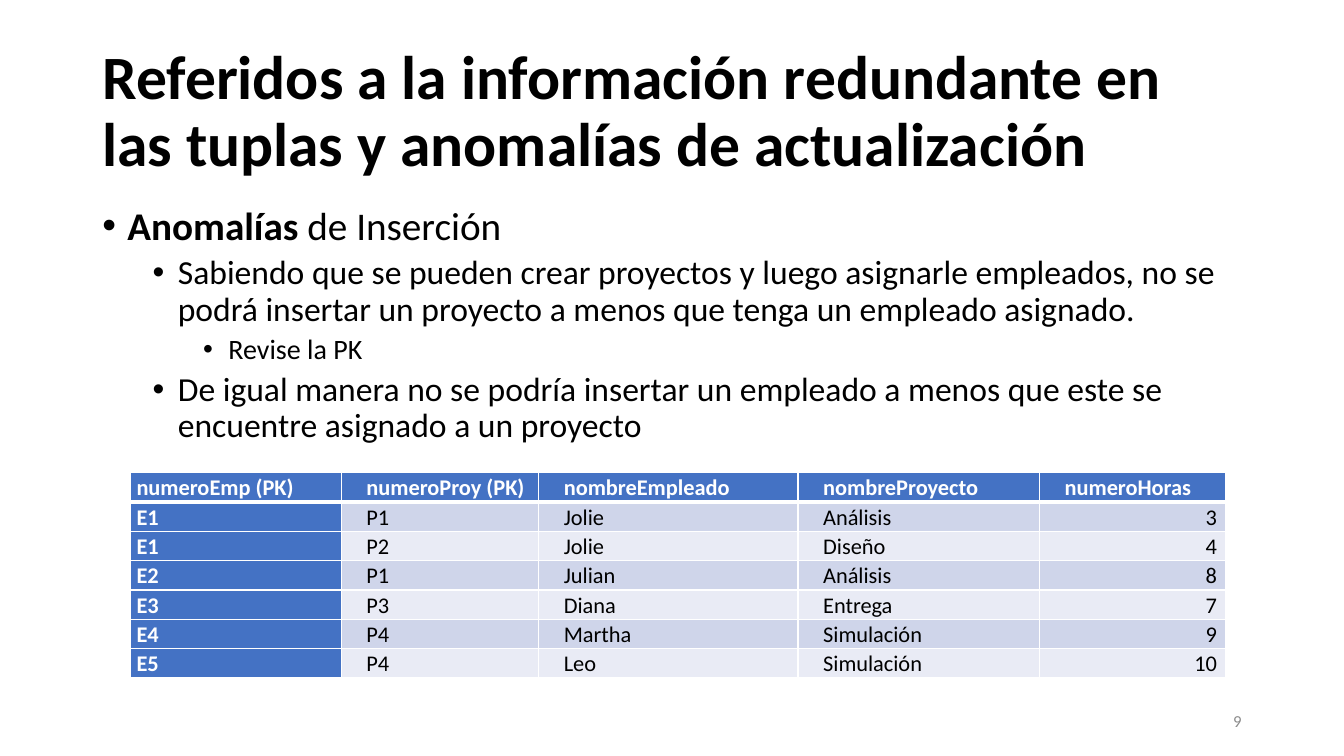
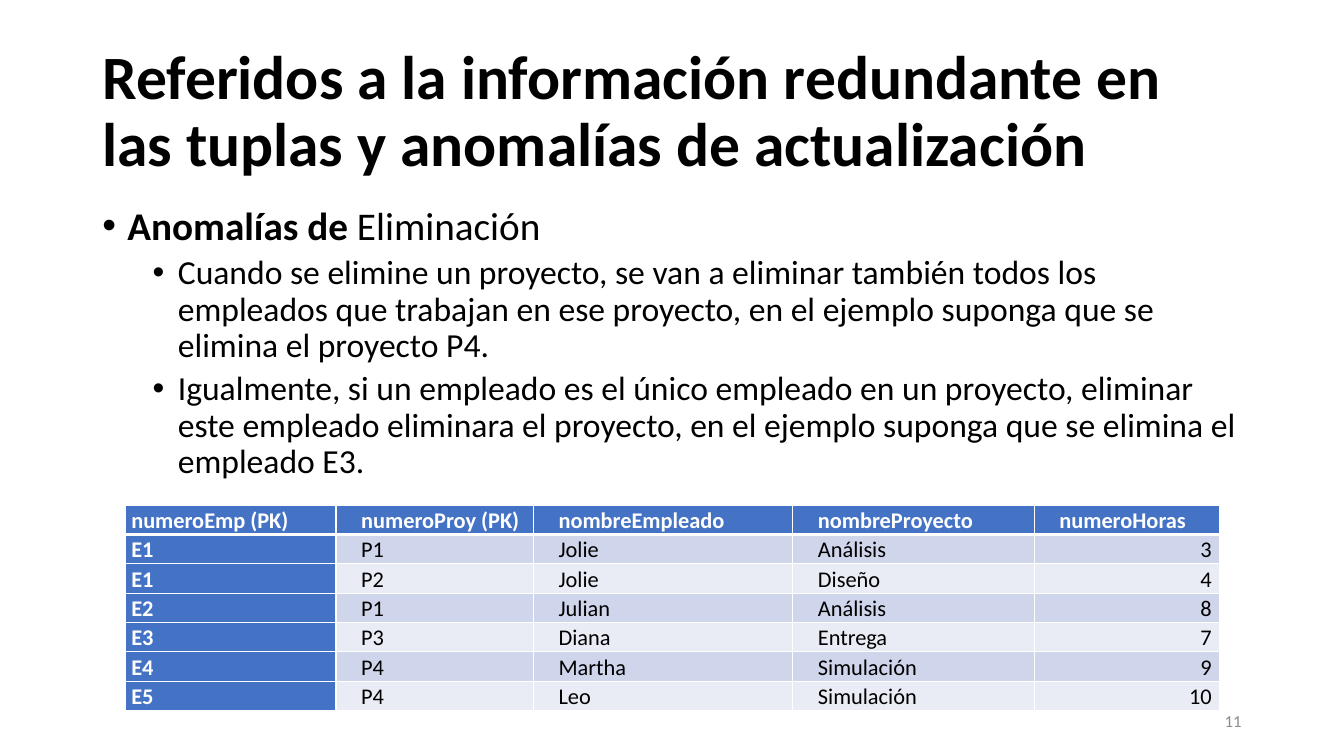
import pptx
import pptx.util
import pptx.dml.color
import pptx.enum.text
import pptx.oxml.ns
import lxml.etree
from dataclasses import dataclass

PX = 9525
ALIGN = pptx.enum.text.PP_ALIGN
ANCHOR = pptx.enum.text.MSO_ANCHOR


@dataclass(frozen=True)
class Theme:
    font: str = "Calibri"
    bullet_font: str = "Arial"
    black: str = "000000"
    white: str = "FFFFFF"
    blue: str = "4472C4"
    bands: tuple = ("CFD5EA", "E9EBF5")
    gray: str = "8C8C8C"
    title_size: int = 44
    body_sizes: tuple = (28, 24, 20)
    table_size: int = 16
    number_size: int = 12
    thin: int = 1
    thick: int = 3


THEME = Theme()
SLIDE_SIZE = (1280, 720)
TITLE_BOX = (88, 38, 1104, 139)
BODY_BOX = (88, 192, 1104, 457)
NUMBER_BOX = (904, 667, 288, 38)
BULLET_STEP, BULLET_HANG = 48, 24
COLUMN_WIDTHS = (201, 188, 247, 230, 177)
ROW_HEIGHT = 28
FIRST_INDENT, OTHER_INDENT = 7, 25
CELL_RIGHT, HOURS_RIGHT = 3, 8

TITLE = "Referidos a la información redundante en las tuplas y anomalías de actualización"
HEADERS = ("numeroEmp (PK)", "numeroProy (PK)", "nombreEmpleado", "nombreProyecto", "numeroHoras")
ASSIGNMENTS = [
    ("E1", "P1", "Jolie", "Análisis", 3),
    ("E1", "P2", "Jolie", "Diseño", 4),
    ("E2", "P1", "Julian", "Análisis", 8),
    ("E3", "P3", "Diana", "Entrega", 7),
    ("E4", "P4", "Martha", "Simulación", 9),
    ("E5", "P4", "Leo", "Simulación", 10),
]
SLIDES = [
    {
        "number": 9,
        "table_at": (124, 450),
        "points": [
            (0, [("Anomalías ", True), ("de Inserción", False)]),
            (1, [("Sabiendo que se pueden crear proyectos y luego asignarle empleados, no se "
                  "podrá insertar un proyecto a menos que tenga un empleado asignado.", False)]),
            (2, [("Revise la PK", False)]),
            (1, [("De igual manera no se podría insertar un empleado a menos que este se "
                  "encuentre asignado a un proyecto", False)]),
        ],
    },
    {
        "number": 11,
        "table_at": (119, 481),
        "points": [
            (0, [("Anomalías de ", True), ("Eliminación", False)]),
            (1, [("Cuando se elimine un proyecto, se van a eliminar también todos los "
                  "empleados que trabajan en ese proyecto, en el ejemplo suponga que se "
                  "elimina el proyecto P4.", False)]),
            (1, [("Igualmente, si un empleado es el único empleado en un proyecto, eliminar "
                  "este empleado eliminara el proyecto, en el ejemplo suponga que se elimina el "
                  "empleado E3.", False)]),
        ],
    },
]


def px(*lengths):
    return [pptx.util.Emu(length * PX) for length in lengths]


def rgb(color):
    return pptx.dml.color.RGBColor.from_string(color)


def child(parent, tag, **attributes):
    return lxml.etree.SubElement(parent, pptx.oxml.ns.qn(tag), attributes)


def style_run(run, size, color, bold=False):
    run.font.name = THEME.font
    run.font.size = pptx.util.Pt(size)
    run.font.bold = bold
    run.font.color.rgb = rgb(color)


def set_indent(paragraph, left, hang):
    properties = paragraph._p.get_or_add_pPr()
    properties.set("marL", str(left * PX))
    properties.set("indent", str(-hang * PX))
    return properties


def add_box(slide, box, anchor):
    frame = slide.shapes.add_textbox(*px(*box)).text_frame
    frame.word_wrap = True
    frame.vertical_anchor = anchor
    return frame


def add_line(slide, box, text, size, color, bold=False, align=ALIGN.LEFT, spacing=1.0):
    frame = add_box(slide, box, ANCHOR.MIDDLE)
    frame.text = text
    paragraph = frame.paragraphs[0]
    paragraph.alignment = align
    paragraph.line_spacing = spacing
    style_run(paragraph.runs[0], size, color, bold)


def add_points(slide, points):
    frame = add_box(slide, BODY_BOX, ANCHOR.TOP)
    for index, (level, pieces) in enumerate(points):
        paragraph = frame.add_paragraph() if index else frame.paragraphs[0]
        paragraph.level = level
        paragraph.line_spacing = 0.9
        paragraph.space_before = pptx.util.Pt(5 if index else 0)
        properties = set_indent(paragraph, BULLET_HANG + level * BULLET_STEP, BULLET_HANG)
        child(properties, "a:buFont", typeface=THEME.bullet_font)
        child(properties, "a:buChar", char="•")
        for text, bold in pieces:
            run = paragraph.add_run()
            run.text = text
            style_run(run, THEME.body_sizes[level], THEME.black, bold)


def set_borders(cell, row):
    properties = cell._tc.get_or_add_tcPr()
    widths = {
        "a:lnL": THEME.thin,
        "a:lnR": THEME.thin,
        "a:lnT": THEME.thick if row == 1 else THEME.thin,
        "a:lnB": THEME.thick if row == 0 else THEME.thin,
    }
    for position, (tag, width) in enumerate(widths.items()):
        border = child(properties, tag, w=str(pptx.util.Pt(width)))
        child(child(border, "a:solidFill"), "a:srgbClr", val=THEME.white)
        properties.insert(position, border)


def fill_cell(cell, row, column, value):
    strong = row == 0 or column == 0
    is_hours = row > 0 and column == len(HEADERS) - 1
    cell.fill.solid()
    cell.fill.fore_color.rgb = rgb(THEME.blue if strong else THEME.bands[(row - 1) % 2])
    cell.margin_left = cell.margin_top = cell.margin_bottom = 0
    cell.margin_right = px(HOURS_RIGHT if is_hours else CELL_RIGHT)[0]
    cell.text_frame.text = str(value)
    paragraph = cell.text_frame.paragraphs[0]
    paragraph.alignment = ALIGN.RIGHT if is_hours else ALIGN.LEFT
    paragraph.line_spacing = 1.07
    set_indent(paragraph, OTHER_INDENT if column else FIRST_INDENT, 1)
    style_run(paragraph.runs[0], THEME.table_size, THEME.white if strong else THEME.black, strong)
    set_borders(cell, row)


def add_assignments(slide, corner):
    records = [HEADERS] + ASSIGNMENTS
    size = (sum(COLUMN_WIDTHS), ROW_HEIGHT * len(records))
    table = slide.shapes.add_table(len(records), len(HEADERS), *px(*corner, *size)).table
    table.first_col = True
    for column, width in zip(table.columns, px(*COLUMN_WIDTHS)):
        column.width = width
    for row, record in enumerate(records):
        for column, value in enumerate(record):
            fill_cell(table.cell(row, column), row, column, value)


def main():
    deck = pptx.Presentation()
    deck.slide_width, deck.slide_height = px(*SLIDE_SIZE)
    for content in SLIDES:
        slide = deck.slides.add_slide(deck.slide_layouts[6])
        add_line(slide, TITLE_BOX, TITLE, THEME.title_size, THEME.black, bold=True, spacing=0.9)
        add_points(slide, content["points"])
        add_assignments(slide, content["table_at"])
        add_line(slide, NUMBER_BOX, str(content["number"]), THEME.number_size, THEME.gray,
                 align=ALIGN.RIGHT)
    deck.save("out.pptx")


if __name__ == "__main__":
    main()
